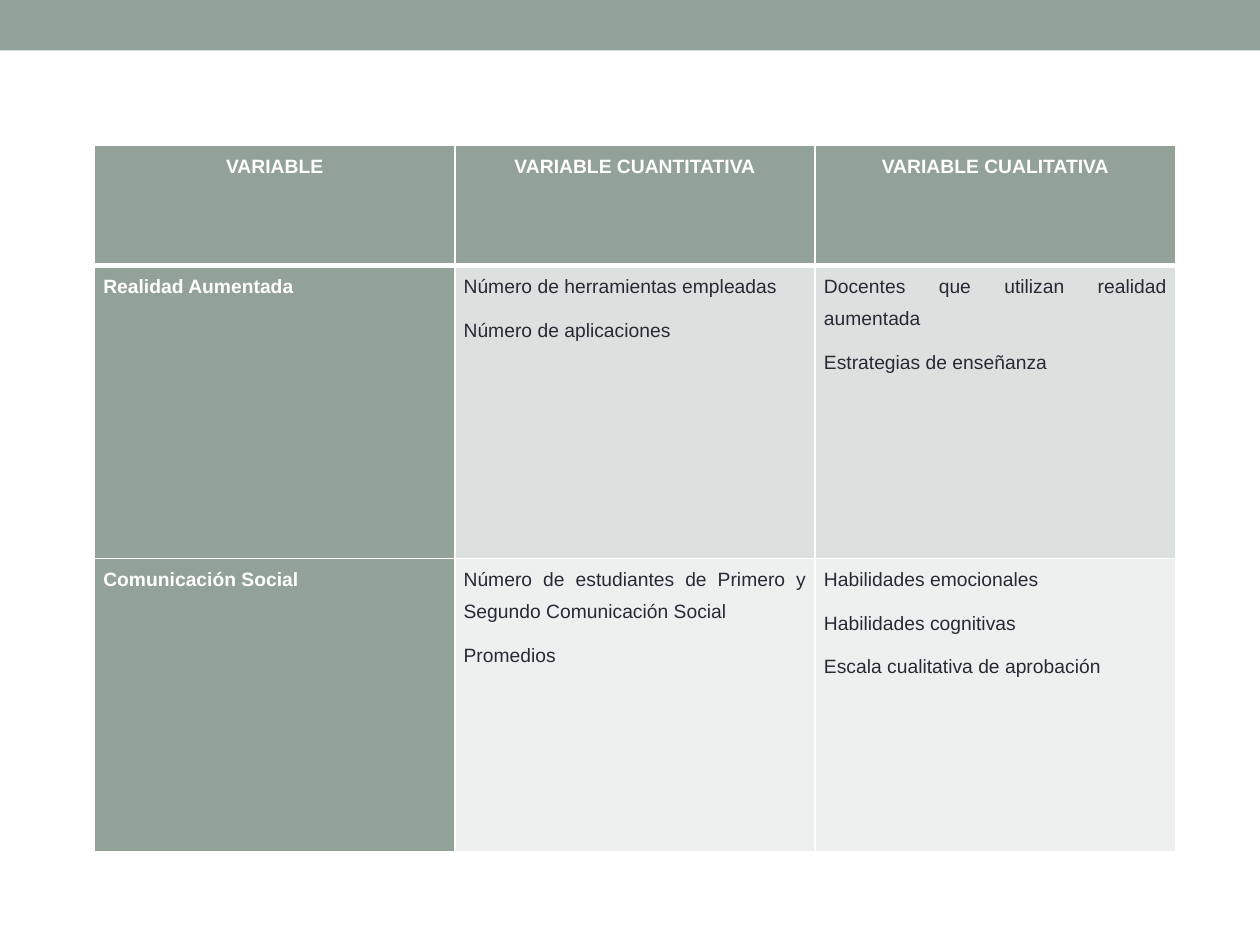
from dataclasses import dataclass

from lxml.etree import SubElement
from pptx import Presentation
from pptx.dml.color import RGBColor
from pptx.enum.shapes import MSO_SHAPE
from pptx.enum.text import PP_ALIGN
from pptx.oxml.ns import qn
from pptx.util import Inches, Pt


@dataclass(frozen=True)
class Theme:
    accent: str = "93A299"
    ink: str = "292934"
    white: str = "FFFFFF"
    bands: tuple = ("DCE0DE", "EEF0EF")
    font: str = "Arial"
    body_size: float = 11
    thin_rule: int = 1
    thick_rule: int = 3


THEME = Theme()
ROW_HEIGHTS = (0.96, 2.33, 2.33)
VARIABLES = [
    [["VARIABLE"], ["VARIABLE CUANTITATIVA"], ["VARIABLE CUALITATIVA"]],
    [
        ["Realidad Aumentada"],
        ["Número de herramientas empleadas", "Número de aplicaciones"],
        ["Docentes que utilizan realidad aumentada", "Estrategias de enseñanza"],
    ],
    [
        ["Comunicación Social"],
        ["Número de estudiantes de Primero y Segundo Comunicación Social", "Promedios"],
        ["Habilidades emocionales", "Habilidades cognitivas", "Escala cualitativa de aprobación"],
    ],
]


def apply_format(target, values):
    for name, value in values.items():
        setattr(target, name, value)


def paint(fill, color):
    fill.solid()
    fill.fore_color.rgb = RGBColor.from_string(color)


def add_borders(cell, widths):
    properties = cell._tc.get_or_add_tcPr()
    for side, width in widths.items():
        line = SubElement(properties, qn(f"a:ln{side}"), w=str(Pt(width)))
        solid = SubElement(line, qn("a:solidFill"))
        SubElement(solid, qn("a:srgbClr"), val=THEME.white)


def write_cell(cell, lines, alignment, color, bold):
    margins = {"margin_left": Inches(0.07), "margin_right": Inches(0.07),
               "margin_top": 0, "margin_bottom": 0}
    apply_format(cell, margins)
    frame = cell.text_frame
    for index, line in enumerate(lines):
        para = frame.add_paragraph() if index else frame.paragraphs[0]
        apply_format(para, {"alignment": alignment, "line_spacing": 1.5, "space_before": Pt(6.5)})
        span = para.add_run()
        span.text = line
        apply_format(span.font, {"name": THEME.font, "size": Pt(THEME.body_size), "bold": bold})
        span.font.color.rgb = RGBColor.from_string(color)


def add_top_band(page, left, top, width, height):
    band = page.shapes.add_shape(MSO_SHAPE.RECTANGLE, left, top, width, height)
    band.shadow.inherit = False
    paint(band.fill, THEME.accent)
    band.line.fill.background()


def add_variable_table(page, left, top, width, height):
    column_count = len(VARIABLES[0])
    table = page.shapes.add_table(len(VARIABLES), column_count, left, top, width, height).table
    for column in table.columns:
        column.width = width // column_count
    for row, share in zip(table.rows, ROW_HEIGHTS):
        row.height = int(height * share / sum(ROW_HEIGHTS))
    for row_index, row in enumerate(VARIABLES):
        for column_index, lines in enumerate(row):
            cell = table.cell(row_index, column_index)
            is_header = row_index == 0
            is_label = is_header or column_index == 0
            widths = dict.fromkeys("LRTB", THEME.thin_rule)
            if is_header:
                widths["B"] = THEME.thick_rule
            elif row_index == 1:
                widths["T"] = THEME.thick_rule
            add_borders(cell, widths)
            paint(cell.fill, THEME.accent if is_label else THEME.bands[row_index - 1])
            write_cell(
                cell, lines,
                alignment=PP_ALIGN.CENTER if is_header else PP_ALIGN.JUSTIFY,
                color=THEME.white if is_label else THEME.ink,
                bold=is_label,
            )


def main():
    deck = Presentation()
    apply_format(deck, {"slide_width": Inches(10), "slide_height": Inches(7.5)})
    page = deck.slides.add_slide(deck.slide_layouts[6])
    paint(page.background.fill, THEME.white)
    add_top_band(page, 0, 0, deck.slide_width, Inches(0.4))
    add_variable_table(page, Inches(0.75), Inches(1.15), Inches(8.58), Inches(5.61))
    deck.save("out.pptx")


if __name__ == "__main__":
    main()
